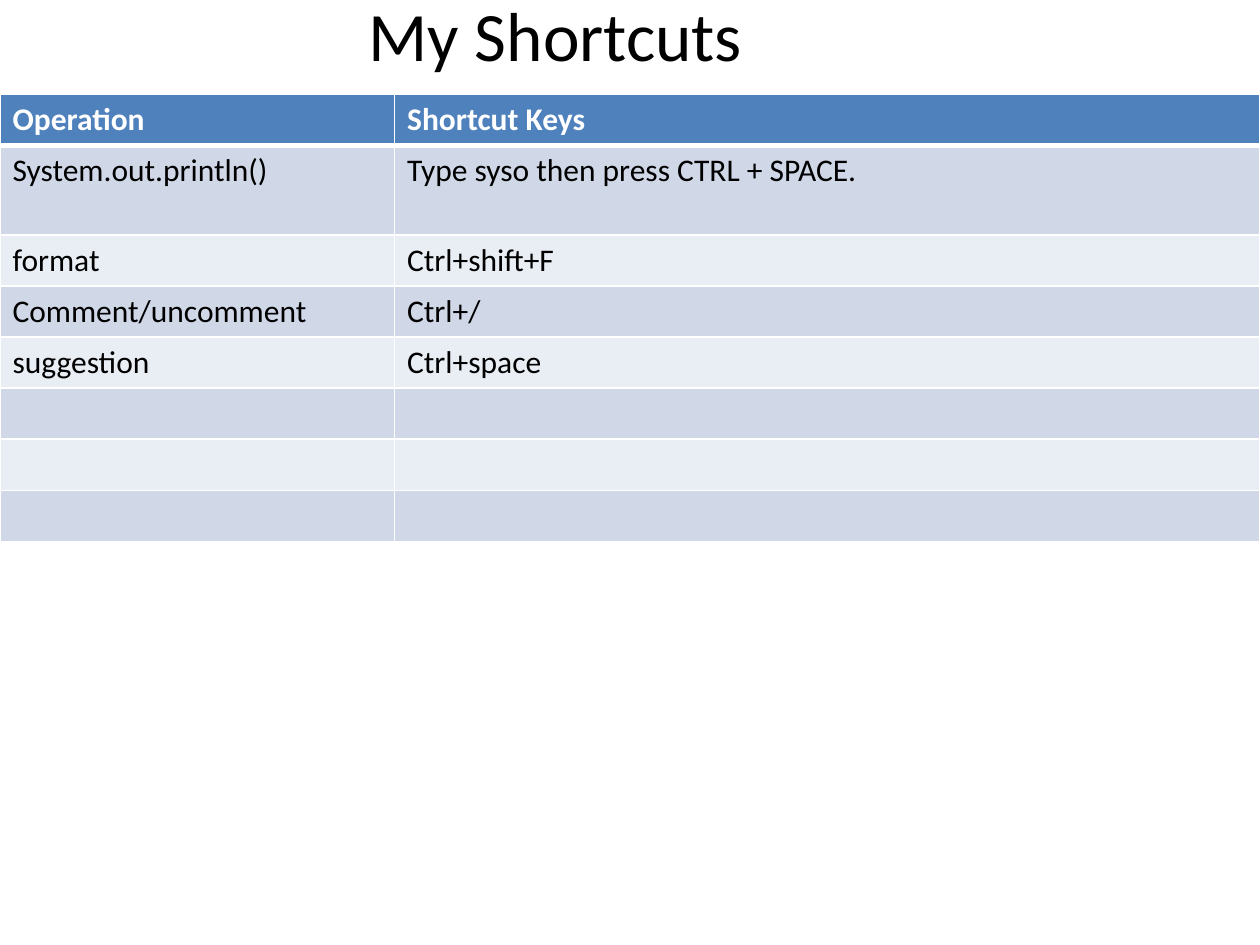
import pptx
import pptx.util
import pptx.dml.color
import pptx.enum.text
import pptx.oxml
import pptx.oxml.ns

Pt = pptx.util.Pt


def color(hex_string):
    """Return the RGB colour for a hex string."""
    return pptx.dml.color.RGBColor.from_string(hex_string)


class Deck:
    """Holds the style and the current slide."""

    font = "Calibri"
    text, light = "000000", "FFFFFF"
    header, bands = "4F81BD", ("D0D8E8", "E9EDF4")

    def __init__(self, prs):
        self.slide = prs.slides.add_slide(prs.slide_layouts[6])

    def style(self, p, size, hex_string, bold=False):
        """Format every run of a paragraph."""
        for r in p.runs:
            r.font.name, r.font.size, r.font.bold = self.font, Pt(size), bold
            r.font.color.rgb = color(hex_string)

    def title(self, text, x, y, w, h, size):
        """Add a centred title."""
        tf = self.slide.shapes.add_textbox(Pt(x), Pt(y), Pt(w), Pt(h)).text_frame
        tf.word_wrap = True
        tf.vertical_anchor = pptx.enum.text.MSO_ANCHOR.MIDDLE
        p = tf.paragraphs[0]
        p.text = text
        p.alignment = pptx.enum.text.PP_ALIGN.CENTER
        self.style(p, size, self.text)

    def borders(self, cell, bottom):
        """Draw the light lines around a cell."""
        tc_pr = cell._tc.get_or_add_tcPr()
        for i, (side, width) in enumerate((("L", 1), ("R", 1), ("T", 1), ("B", bottom))):
            tc_pr.insert(i, pptx.oxml.parse_xml(
                f'<a:ln{side} {pptx.oxml.ns.nsdecls("a")} w="{Pt(width)}"><a:solidFill>'
                f'<a:srgbClr val="{self.light}"/></a:solidFill></a:ln{side}>'))

    def table(self, rows, x, y, widths, heights, size):
        """Add a banded table with a header row."""
        table = self.slide.shapes.add_table(
            len(rows), len(widths), Pt(x), Pt(y), Pt(sum(widths)), Pt(sum(heights))).table
        for column, width in zip(table.columns, widths):
            column.width = Pt(width)
        for i, (row, height) in enumerate(zip(rows, heights)):
            table.rows[i].height = Pt(height)
            is_header = i == 0
            for cell, text in zip(table.rows[i].cells, row):
                cell.fill.solid()
                cell.fill.fore_color.rgb = color(self.header if is_header else self.bands[(i - 1) % 2])
                self.borders(cell, 3 if is_header else 1)
                if text:
                    cell.text_frame.text = text
                    self.style(cell.text_frame.paragraphs[0], size,
                               self.light if is_header else self.text, is_header)


prs = pptx.Presentation()
prs.slide_width, prs.slide_height = Pt(720), Pt(540)
deck = Deck(prs)
deck.title("My Shortcuts ", -2, 0, 648, 38, 39.6)

shortcuts = [
    ("Operation", "Shortcut Keys"),
    ("System.out.println()", "Type\u00a0syso\u00a0then press\u00a0CTRL\u00a0+\u00a0SPACE."),
    ("format", "Ctrl+shift+F"),
    ("Comment/uncomment", "Ctrl+/"),
    ("suggestion", "Ctrl+space"),
] + [("", "")] * 3
heights = [29.2] * len(shortcuts)
heights[1] = 51
deck.table(shortcuts, 0, 54, (225.5, 494.5), heights, 18)

prs.save("out.pptx")
